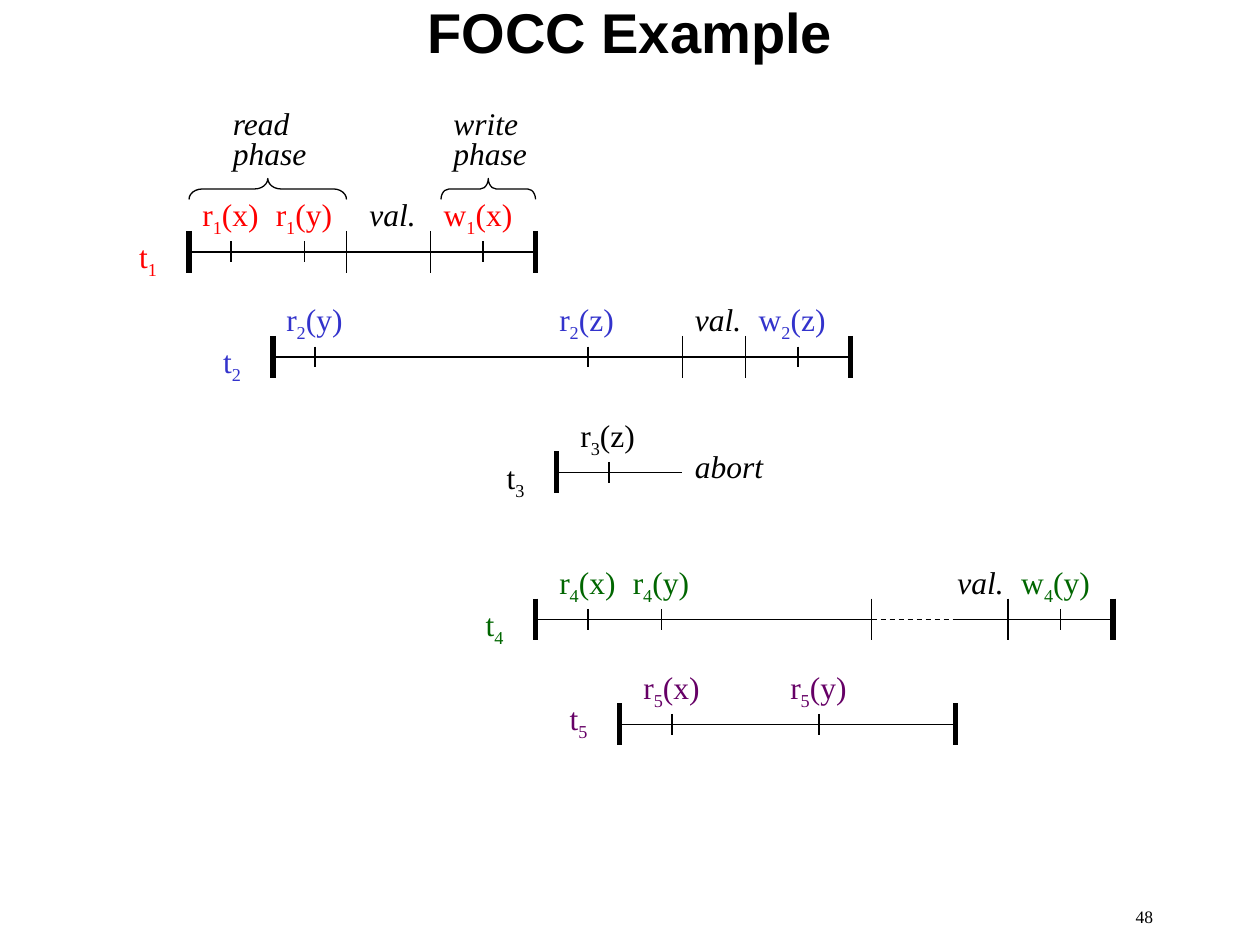
"""Build the FOCC example slide: five transactions on a shared time line."""
from dataclasses import dataclass

from lxml.etree import SubElement
from pptx import Presentation
from pptx.dml.color import RGBColor as Rgb
from pptx.enum.dml import MSO_LINE_DASH_STYLE as Dash
from pptx.enum.shapes import MSO_CONNECTOR as Connector, MSO_SHAPE as Shape
from pptx.enum.text import MSO_ANCHOR as Anchor, MSO_AUTO_SIZE as AutoSize, PP_ALIGN as Align
from pptx.oxml.ns import qn
from pptx.util import Pt


@dataclass(frozen=True)
class Theme:
    """Colours, fonts, type sizes and line weights."""
    ink: str = "000000"
    red: str = "FF0000"
    blue: str = "3333CC"
    green: str = "006600"
    purple: str = "660066"
    heading_font: str = "Arial"
    body_font: str = "Times New Roman"
    heading_size: int = 32
    body_size: int = 18
    number_size: int = 10
    thin: float = 0.75
    thick: float = 3


def write(frame, text, *, font, size, color, bold=False, italic=False,
          align=Align.LEFT, spacing=None):
    """Fill a text frame; an underscore lowers the character after it."""
    for index, line in enumerate(text.split("\n")):
        paragraph = frame.paragraphs[0] if index == 0 else frame.add_paragraph()
        paragraph.alignment = align
        paragraph.line_spacing = spacing
        base, _, tail = line.partition("_")
        for part, lowered in ((base, False), (tail[:1], True), (tail[1:], False)):
            if not part:
                continue
            run = paragraph.add_run()
            run.text = part
            run.font.name, run.font.size = font, Pt(size)
            run.font.bold, run.font.italic = bold, italic
            run.font.color.rgb = Rgb.from_string(color)
            if lowered:
                run.font._element.set("baseline", "-25000")


class Timeline:
    """Draws the elements of a transaction schedule on one slide."""

    def __init__(self, slide, theme):
        """Keep the slide and its theme."""
        self.slide, self.theme = slide, theme

    def title(self, text):
        """Place the slide title."""
        heading = self.slide.shapes.title
        heading.left, heading.top, heading.width, heading.height = Pt(54), Pt(0), Pt(612), Pt(36)
        heading.text_frame.vertical_anchor = Anchor.MIDDLE
        write(heading.text_frame, text, font=self.theme.heading_font,
              size=self.theme.heading_size, color=self.theme.ink, bold=True, align=Align.CENTER)

    def label(self, text, left, top, width, height=31.5, wrap=False, fit=True, **style):
        """Place a text label."""
        box = self.slide.shapes.add_textbox(Pt(left), Pt(top), Pt(width), Pt(height))
        box.text_frame.word_wrap = wrap
        box.text_frame.auto_size = AutoSize.SHAPE_TO_FIT_TEXT if fit else AutoSize.NONE
        defaults = dict(font=self.theme.body_font, size=self.theme.body_size, color=self.theme.ink)
        write(box.text_frame, text, **(defaults | style))

    def line(self, x1, y1, x2, y2, weight=None, dash=None):
        """Draw a straight line."""
        stroke = self.slide.shapes.add_connector(Connector.STRAIGHT, Pt(x1), Pt(y1), Pt(x2), Pt(y2))
        stroke.line.width = Pt(weight or self.theme.thin)
        stroke.line.color.rgb = Rgb.from_string(self.theme.ink)
        if dash:
            stroke.line.dash_style = dash
        SubElement(stroke._element.spPr, qn("a:effectLst"))

    def upright(self, x, y, half, weight=None):
        """Draw a vertical mark centred on a time line."""
        self.line(x, y - half, x, y + half, weight)

    def phase(self, text, start, end, left, width):
        """Draw a brace over a phase and its caption."""
        span, depth, middle = end - start, 12, 108
        brace = self.slide.shapes.add_shape(
            Shape.LEFT_BRACE, Pt((start + end - depth) / 2), Pt(middle - span / 2), Pt(depth), Pt(span))
        brace.rotation = 90
        brace.adjustments[0] = span / 144
        brace.shadow.inherit = False
        brace.fill.background()
        brace.line.width = Pt(self.theme.thin)
        brace.line.color.rgb = Rgb.from_string(self.theme.ink)
        self.label(text, left, 60, width, 42, wrap=True, italic=True, spacing=0.8)

    def transaction(self, number, y, color, segments, ends, bounds, steps, val=None, name_drop=-12):
        """Draw one transaction: axis, ends, phase bounds and operations."""
        for start, end, dash in segments:
            self.line(start, y, end, y, dash=dash)
        for x in ends:
            self.upright(x, y, 12, self.theme.thick)
        for x in bounds:
            self.upright(x, y, 12)
        self.label(f"t_{number}", ends[0] - 35.5, y + name_drop, 25, color=color)
        for x, action, item in steps:
            self.upright(x, y, 6)
            width, shift = (55, 29.5) if action == "w" else (48, 23.5)
            self.label(f"{action}_{number}({item})", x - shift, y - 36, width, color=color)
        if val:
            self.label("val.", val, y - 30, 48, 22, wrap=True, italic=True, spacing=0.7)


def main():
    """Build and save the presentation."""
    deck = Presentation()
    deck.slide_width, deck.slide_height = Pt(720), Pt(540)
    theme = Theme()
    schedule = Timeline(deck.slides.add_slide(deck.slide_layouts[5]), theme)
    schedule.title("FOCC Example")
    schedule.phase("read\nphase", 108, 198, 126, 66)
    schedule.phase("write\nphase", 252, 306, 252, 72)
    schedule.transaction(1, 144, theme.red, [(108, 306, None)], (108, 306), (198, 246),
                         [(132, "r", "x"), (174, "r", "y"), (276, "w", "x")], val=204)
    schedule.transaction(2, 204, theme.blue, [(156, 486, None)], (156, 486), (390, 426),
                         [(180, "r", "y"), (336, "r", "z"), (456, "w", "z")], val=390)
    schedule.transaction(3, 270, theme.ink, [(318, 390, None)], (318,), (), [(348, "r", "z")])
    schedule.label("abort", 390, 252, 54, 29, italic=True)
    schedule.transaction(4, 354, theme.green,
                         [(306, 498, None), (498, 546, Dash.DASH), (546, 636, None)],
                         (306, 636), (498, 576),
                         [(336, "r", "x"), (378, "r", "y"), (606, "w", "y")], val=540)
    schedule.transaction(5, 414, theme.purple, [(354, 546, None)], (354, 546), (),
                         [(384, "r", "x"), (468, "r", "y")], name_drop=-18)
    schedule.label("48", 516, 514, 150, 26, wrap=True, fit=False,
                   size=theme.number_size, align=Align.RIGHT)
    deck.save("out.pptx")


if __name__ == "__main__":
    main()
